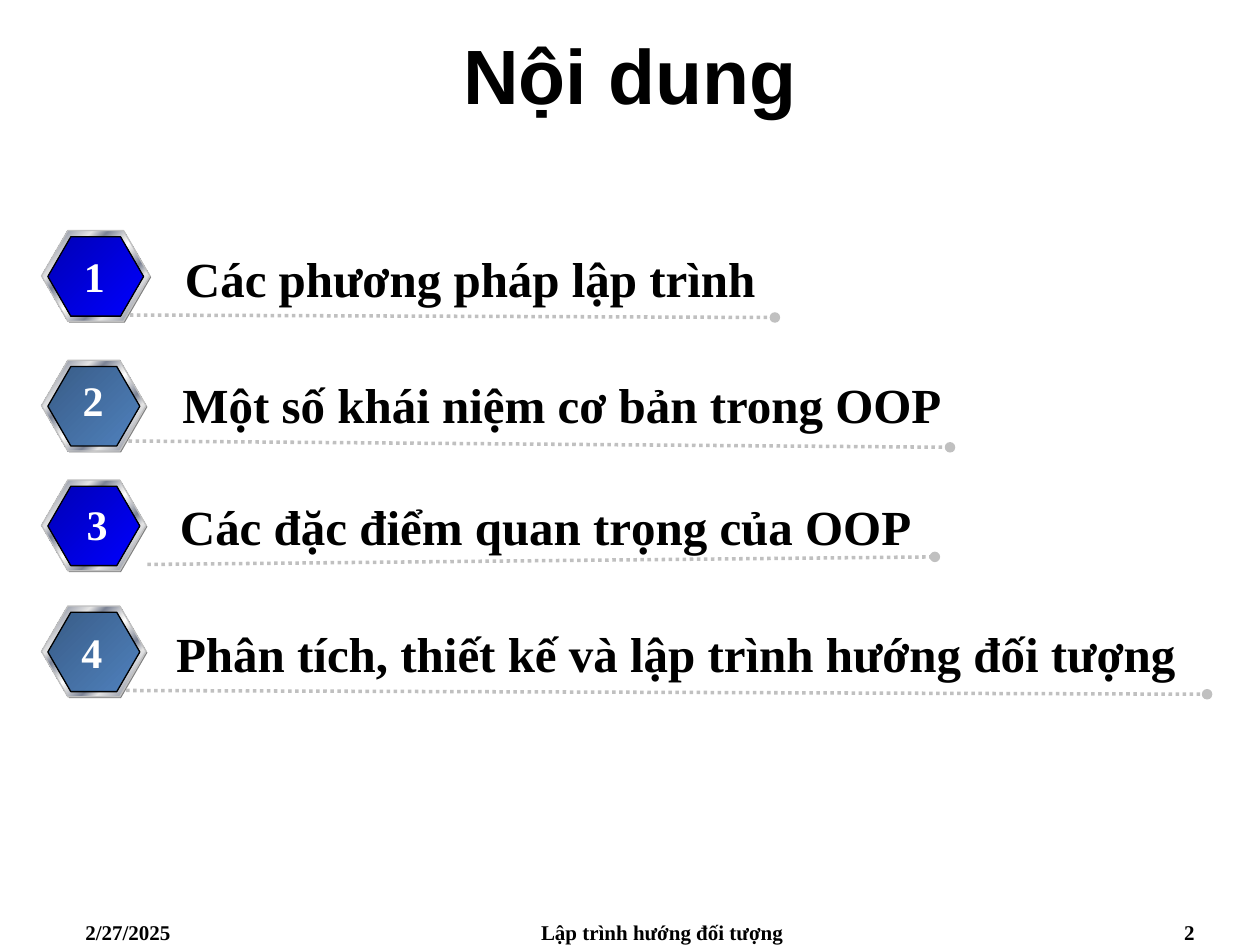
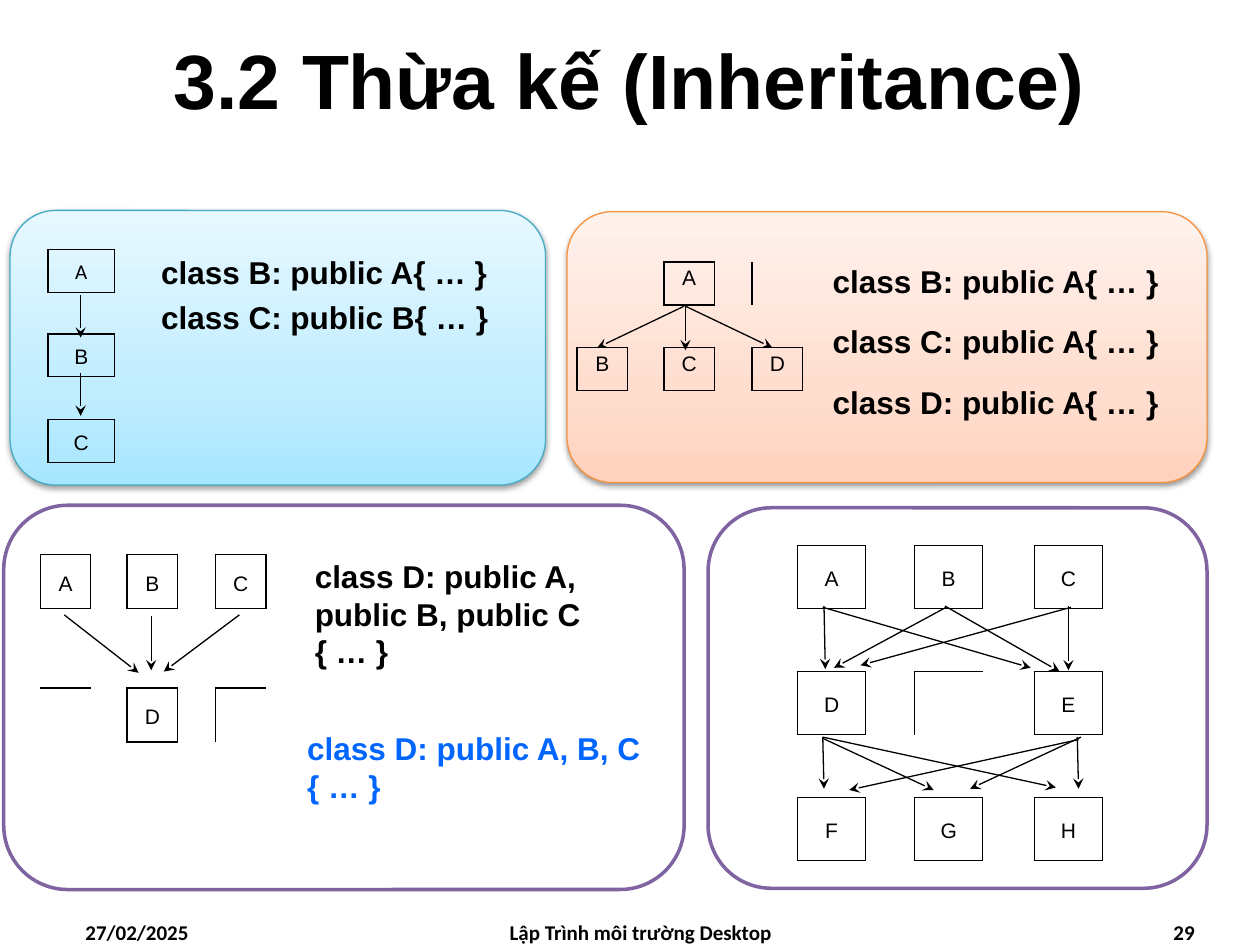
from lxml import etree
from pptx import Presentation
from pptx.dml.color import RGBColor
from pptx.enum.dml import MSO_LINE
from pptx.enum.shapes import MSO_CONNECTOR, MSO_SHAPE
from pptx.enum.text import MSO_ANCHOR, PP_ALIGN
from pptx.oxml import parse_xml
from pptx.oxml.ns import nsdecls, qn
from pptx.util import Inches, Pt

BLACK, WHITE, GREY = "000000", "FFFFFF", "C0C0C0"
NAVY = [(0, "0000B6"), (100, "0000FF")]
STEEL = [(0, "395C87"), (100, "4F81BD")]
METAL = [(0, "E6E6E6"), (7, "7D8496"), (26, "E6E6E6"), (34, "7D8496"),
         (46, "E6E6E6"), (50, "FFFFFF"), (54, "E6E6E6"), (66, "7D8496"),
         (74, "E6E6E6"), (93, "7D8496"), (100, "E6E6E6")]
PEACH = [(0, "FFD2BD"), (35, "FFDED0"), (100, "FFF2ED")]
SKY = [(0, "A7E6FF"), (35, "C1EDFF"), (100, "E7F8FF")]
LEFT, MID, RIGHT = PP_ALIGN.LEFT, PP_ALIGN.CENTER, PP_ALIGN.RIGHT
color = RGBColor.from_string


def write(slide, box, text, size, font, tint=BLACK, align=LEFT, wrap=True):
    frame = slide.shapes.add_textbox(*map(Inches, box)).text_frame
    frame.word_wrap = wrap
    frame.text = text
    for para in frame.paragraphs:
        para.alignment = align
        for run in para.runs:
            run.font.size = Pt(size)
            run.font.name = font
            run.font.bold = True
            run.font.color.rgb = color(tint)
    return frame


def draw(slide, kind, box, fill, edge=None, width=0.75, angle=45):
    shape = slide.shapes.add_shape(kind, *map(Inches, box))
    shape.shadow.inherit = False
    if isinstance(fill, str):
        shape.fill.solid()
        shape.fill.fore_color.rgb = color(fill)
    else:
        shape.fill.background()
        stops = "".join(f'<a:gs pos="{pos * 1000}"><a:srgbClr val="{tint}"/></a:gs>'
                        for pos, tint in fill)
        props = shape.element.spPr
        props.replace(props.find(qn("a:noFill")), parse_xml(
            f'<a:gradFill {nsdecls("a")}><a:gsLst>{stops}</a:gsLst>'
            f'<a:lin ang="{angle * 60000}" scaled="0"/></a:gradFill>'))
    if edge:
        shape.line.color.rgb = color(edge)
        shape.line.width = Pt(width)
    else:
        shape.line.fill.background()
    return shape


deck = Presentation()
deck.slide_width, deck.slide_height = Inches(10), Inches(7.5)
plan, tree = [deck.slides.add_slide(deck.slide_layouts[6]) for _ in range(2)]

items = [
    ("Các phương pháp lập trình", 1.83, 0.86, 1.37, 1.92, 0.75, 1.94, NAVY),
    ("Một số khái niệm cơ bản trong OOP", 2.86, 0.83, 1.35, 2.92, 0.74, 2.92, STEEL),
    ("Các đặc điểm quan trọng của OOP", 3.81, 0.83, 1.33, 3.89, 0.77, 3.91, NAVY),
    ("Phân tích, thiết kế và lập trình hướng đối tượng", 4.81, 0.83, 1.3, 4.9, 0.73, 4.92, STEEL),
]
for num, (text, top, wide, left, row, mid, high, fill) in enumerate(items, 1):
    for box, paint, edge in [
        ((0.34, top + 0.01, wide, 0.72), "808080", None),
        ((0.33, top, wide, 0.72), METAL, GREY),
        ((0.38, top + 0.05, wide - 0.1, 0.63), fill, BLACK),
    ]:
        gem = draw(plan, MSO_SHAPE.HEXAGON, box, paint, edge)
        gem.adjustments[0] = 0.29
    write(plan, (left, row, 8.44, 0.57), text, 28, "Times New Roman")
    write(plan, (mid - 0.2, high, 0.4, 0.5), str(num), 24, "Times New Roman",
          WHITE, MID, False)

for box, fill, edge, width in [
    ((5.62, 4.03, 3.96, 3.02), WHITE, "8064A2", 2),
    ((0.03, 4.01, 5.4, 3.05), WHITE, "8064A2", 2),
    ((4.5, 1.68, 5.08, 2.15), PEACH, "F69240", 0.75),
    ((0.08, 1.67, 4.25, 2.18), SKY, "46AAC5", 0.75),
]:
    panel = draw(tree, MSO_SHAPE.ROUNDED_RECTANGLE, box, fill, edge, width, 270)
    if fill != WHITE:
        panel.element.spPr.find(qn("a:effectLst")).append(parse_xml(
            f'<a:outerShdw {nsdecls("a")} blurRad="40000" dist="20000" dir="5400000" '
            'rotWithShape="0"><a:srgbClr val="000000"><a:alpha val="38000"/>'
            '</a:srgbClr></a:outerShdw>'))

grids = [
    (0.38, 1.98, [0.53], [0.34, 0.33, 0.34, 0.34, 0.34],
     ["A", " ", "B", " ", "C"], MSO_ANCHOR.MIDDLE, "Calibri"),
    (4.58, 2.08, [0.4, 0.29, 0.4, 0.3, 0.4], [0.34] * 3,
     ["  A  ", "     ", "B C D"], MSO_ANCHOR.TOP, "Arial"),
    (0.32, 4.4, [0.4, 0.29, 0.4, 0.3, 0.4], [0.43, 0.63, 0.43],
     ["A B C", "     ", "  D  "], MSO_ANCHOR.MIDDLE, "Arial"),
    (6.33, 4.33, [0.54, 0.39, 0.54, 0.41, 0.54], [0.5] * 5,
     ["A B C", "     ", "D   E", "     ", "F G H"], MSO_ANCHOR.MIDDLE, "Arial"),
]
for left, top, cols, rows, marks, anchor, head in grids:
    table = tree.shapes.add_table(
        len(rows), len(cols), Inches(left), Inches(top),
        Inches(sum(cols)), Inches(sum(rows))).table
    table.first_row = table.horz_banding = False
    style = table._tbl.tblPr.find(qn("a:tableStyleId"))
    style.text = "{2D5ABB26-0587-4C30-8999-92F81FD0307C}"
    for col, wide in zip(table.columns, cols):
        col.width = Inches(wide)
    for row, high in zip(table.rows, rows):
        row.height = Inches(high)
    boxed = {(r, c) for r, line in enumerate(marks)
             for c, mark in enumerate(line) if mark != " "}
    for r in range(len(rows)):
        for c in range(len(cols)):
            cell = table.cell(r, c)
            cell.margin_left = cell.margin_right = Inches(0.07)
            cell.margin_top = cell.margin_bottom = 0
            cell.vertical_anchor = anchor
            para = cell.text_frame.paragraphs[0]
            para.alignment = MID
            para.line_spacing = Pt(16)
            if (r, c) in boxed:
                para.text = marks[r][c]
                font = para.runs[0].font
                font.size = Pt(12)
                font.name = head if r == 0 else "Arial"
                font.color.rgb = color(BLACK)
            props = cell._tc.get_or_add_tcPr()
            for tag, near in [("lnL", (r, c - 1)), ("lnR", (r, c + 1)),
                              ("lnT", (r - 1, c)), ("lnB", (r + 1, c))]:
                if boxed & {(r, c), near}:
                    props.append(parse_xml(
                        f'<a:{tag} {nsdecls("a")} w="12700"><a:solidFill>'
                        f'<a:srgbClr val="{BLACK}"/></a:solidFill></a:{tag}>'))
            cell.fill.background()

rules = [(1.03, 2.5, 6.15, 2.52), (1.02, 3.5, 7.54, 3.55),
         (1.17, 4.48, 7.42, 4.42), (1, 5.48, 9.58, 5.51)]
links = [
    (0.64, 2.34, 0.64, 2.68), (0.64, 2.96, 0.64, 3.3),
    (5.43, 2.43, 4.74, 2.76), (5.44, 2.43, 6.13, 2.76), (5.44, 2.43, 5.44, 2.78),
    (0.51, 4.88, 1.1, 5.34), (1.9, 4.88, 1.3, 5.33), (1.2, 4.89, 1.2, 5.32),
    (6.54, 4.81, 6.55, 5.31), (8.5, 4.82, 6.83, 5.28), (7.51, 4.82, 6.62, 5.3),
    (7.5, 4.81, 8.41, 5.33), (8.48, 4.81, 8.48, 5.32), (6.53, 4.82, 8.18, 5.3),
    (6.53, 5.85, 6.54, 6.26), (6.53, 5.85, 8.38, 6.25), (8.58, 5.85, 7.7, 6.26),
    (8.55, 5.85, 8.56, 6.26), (8.56, 5.87, 6.74, 6.27), (6.53, 5.86, 7.41, 6.27),
]
for slide, paths, tint, width, tip in [(plan, rules, GREY, 2, "oval"),
                                       (tree, links, BLACK, 0.75, "stealth")]:
    for ends in paths:
        link = slide.shapes.add_connector(MSO_CONNECTOR.STRAIGHT, *map(Inches, ends))
        link.line.color.rgb = color(tint)
        link.line.width = Pt(width)
        if tip == "oval":
            link.line.dash_style = MSO_LINE.ROUND_DOT
        etree.SubElement(link.line._get_or_add_ln(), qn("a:tailEnd"), type=tip)
        etree.SubElement(link.element.spPr, qn("a:effectLst"))

for left, top, wide, high, text, tint in [
    (1.18, 1.96, 2.83, 0.4, "class B: public A{ … }", BLACK),
    (1.18, 2.32, 2.83, 0.4, "class C: public B{ … }", BLACK),
    (6.51, 2.03, 2.83, 0.4, "class B: public A{ … }", BLACK),
    (6.51, 2.51, 2.83, 0.4, "class C: public A{ … }", BLACK),
    (6.51, 2.99, 2.83, 0.4, "class D: public A{ … }", BLACK),
    (2.4, 4.37, 2.83, 1.01, "class D: public A, public B, public C\n{ … }", BLACK),
    (2.34, 5.74, 2.9, 0.71, "class D: public A, B, C\n{ … }", "0066FF"),
]:
    write(tree, (left, top, wide, high), text, 18, "Arial", tint)

for slide, title, area, font, date, foot, start, page in [
    (plan, "Nội dung", (0, 0, 10, 1.17), "Times New Roman",
     "2/27/2025", "Lập trình hướng đối tượng", 3.67, "2"),
    (tree, "3.2 Thừa kế (Inheritance)", (0.5, 0, 9, 1.25), "Calibri",
     "27/02/2025", "Lập Trình môi trường Desktop", 3.5, "29"),
]:
    frame = write(slide, area, title, 44, "Arial", align=MID)
    frame.vertical_anchor = MSO_ANCHOR.MIDDLE
    for left, wide, text, align in [(0.58, 2.33, date, LEFT), (start, 3.17, foot, MID),
                                    (7.25, 2.33, page, RIGHT)]:
        write(slide, (left, 7.25, wide, 0.25), text, 12, font, align=align)

deck.save("out.pptx")
